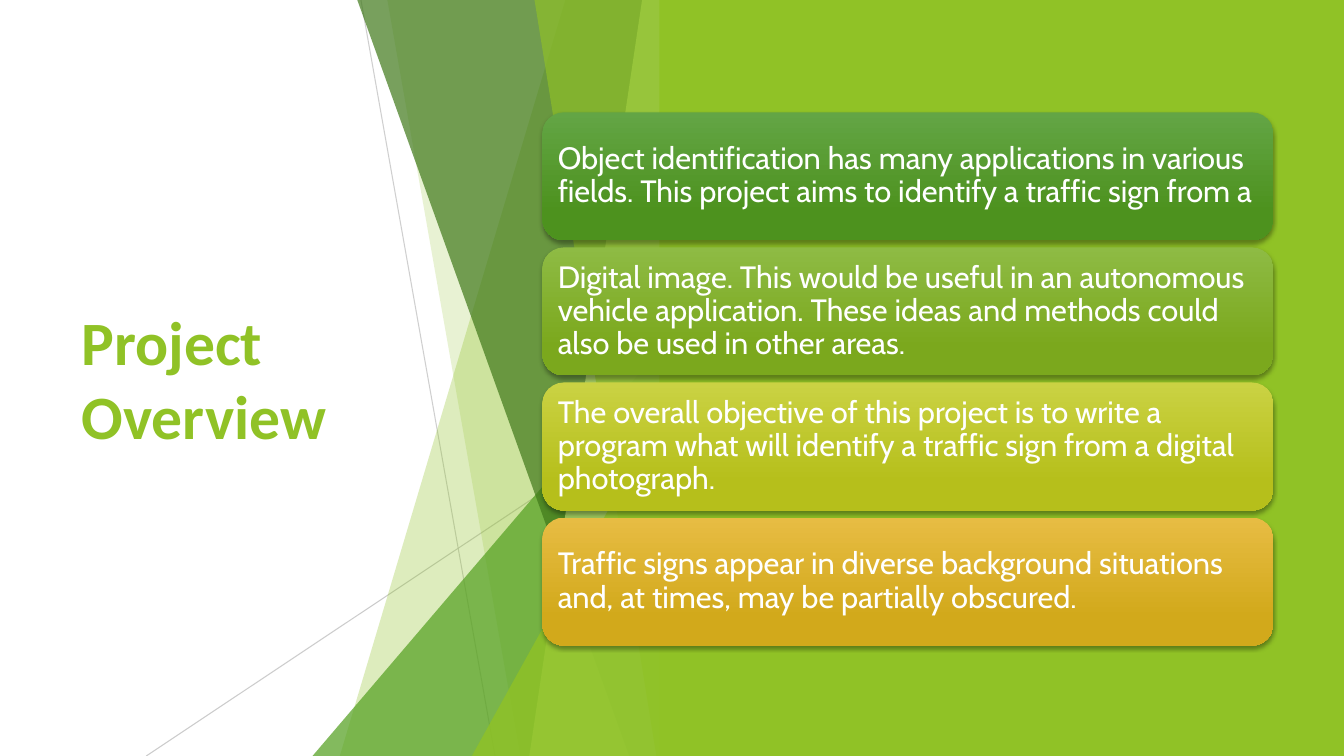
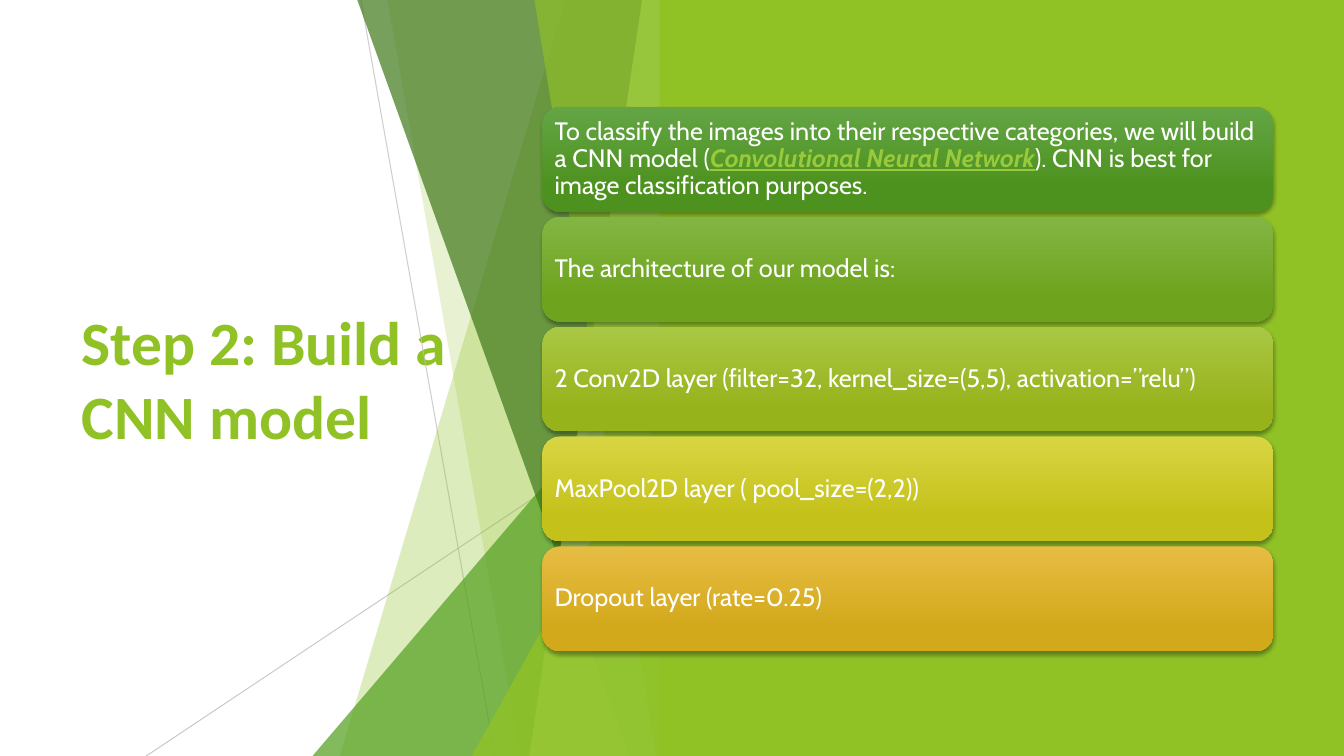
from dataclasses import dataclass

from lxml import etree
from pptx import Presentation
from pptx import util as u
from pptx.dml.color import RGBColor
from pptx.enum import shapes, text
from pptx.oxml import ns


@dataclass(frozen=True)
class Theme:
    white: str = "FFFFFF"
    lime: str = "90C226"
    pale_lime: str = "C0E474"
    green: str = "54A021"
    dark_green: str = "3F7819"
    hairline: str = "BFBFBF"
    link: str = "99CA3C"
    shadow: str = "000000"
    title_font: str = "Calibri"
    body_font: str = "Cabin"
    title_size: int = 44
    line_width: float = 0.75


THEME = Theme()
WIDTH, HEIGHT = 13.33, 7.5
PANEL_LEFT = 6.54
FACET_RIGHT = 6.66
CARD_LEFT, CARD_WIDTH, STACK_CENTER = 5.38, 7.25, 3.76


@dataclass(frozen=True)
class CardStyle:
    height: float
    gap: float
    inset: float
    size: int
    gradients: tuple


OVERVIEW_CARDS = CardStyle(1.27, 0.07, 0.09, 22, (
    ("63A545", "4D921E"), ("8EBB44", "7BA81D"),
    ("CAD243", "B6BF1B"), ("E7BC43", "D2A91B")))
MODEL_CARDS = CardStyle(1.04, 0.05, 0.07, 18, (
    ("63A545", "4D921E"), ("82B644", "6EA31D"), ("AAC744", "97B31C"),
    ("D8D543", "C4C11A"), ("E7BC43", "D2A91B")))

# Each card is a list of (text, is_link) runs.
OVERVIEW = [
    [("Object identification has many applications in various fields. "
      "This project aims to identify a traffic sign from a", False)],
    [("Digital image. This would be useful in an autonomous vehicle application. "
      "These ideas and methods could also be used in other areas.", False)],
    [("The overall objective of this project is to write a program what will "
      "identify a traffic sign from a digital photograph.", False)],
    [("Traffic signs appear in diverse background situations and, at times, "
      "may be partially obscured.", False)],
]
MODEL = [
    [("To classify the images into their respective categories, "
      "we will build a CNN model (", False),
     ("Convolutional Neural Network", True),
     ("). CNN is best for image classification purposes.", False)],
    [("The architecture of our model is:", False)],
    [("2 Conv2D layer (filter=32, kernel_size=(5,5), activation=”relu”)", False)],
    [("MaxPool2D layer ( pool_size=(2,2))", False)],
    [("Dropout layer (rate=0.25)", False)],
]


def rgb(color):
    return RGBColor.from_string(color)


def set_opacity(shape, percent):
    for color in shape.element.spPr.iter(ns.qn("a:srgbClr")):
        etree.SubElement(color, ns.qn("a:alpha"), val=str(percent * 1000))


def fill_plain(shape, color, opacity=100):
    shape.shadow.inherit = False
    shape.fill.solid()
    shape.fill.fore_color.rgb = rgb(color)
    shape.line.fill.background()
    if opacity < 100:
        set_opacity(shape, opacity)


def add_hairline(slide, start, end, opacity):
    ends = [u.Inches(value) for value in (*start, *end)]
    line = slide.shapes.add_connector(shapes.MSO_CONNECTOR.STRAIGHT, *ends)
    line.line.color.rgb = rgb(THEME.hairline)
    line.line.width = u.Pt(THEME.line_width)
    set_opacity(line, opacity)
    etree.SubElement(line.element.spPr, ns.qn("a:effectLst"))


def add_facet(slide, top_left, bottom_left, color, opacity):
    """Draw a full-height facet with a slanted left edge."""
    corners = [(top_left, -0.01), (FACET_RIGHT, -0.01),
               (FACET_RIGHT, HEIGHT), (bottom_left, HEIGHT)]
    points = [(u.Inches(x), u.Inches(y)) for x, y in corners]
    builder = slide.shapes.build_freeform(*points[0], scale=1.0)
    builder.add_line_segments(points[1:], close=True)
    fill_plain(builder.convert_to_shape(), color, opacity)


def add_corner(slide, left, top, color, opacity):
    """Draw a right triangle standing on the bottom edge."""
    triangle = slide.shapes.add_shape(
        shapes.MSO_SHAPE.ISOSCELES_TRIANGLE, u.Inches(left), u.Inches(top),
        u.Inches(FACET_RIGHT - left), u.Inches(HEIGHT - top))
    triangle.adjustments[0] = 1
    fill_plain(triangle, color, opacity)


def add_artwork(slide):
    add_hairline(slide, (3.58, 0), (4.91, HEIGHT), 75)
    add_hairline(slide, (FACET_RIGHT, 4.03), (1.45, HEIGHT), 80)
    add_facet(slide, 5.61, 3.37, THEME.lime, 30)
    add_facet(slide, 3.84, 5.16, THEME.lime, 20)
    add_corner(slide, 3.1, 3.33, THEME.green, 72)
    add_facet(slide, 3.54, 6.24, THEME.dark_green, 70)
    add_facet(slide, 6.37, 5.25, THEME.pale_lime, 70)
    add_facet(slide, 5.3, 6.51, THEME.lime, 65)
    add_corner(slide, 4.68, 3.93, THEME.lime, 80)
    panel = slide.shapes.add_shape(
        shapes.MSO_SHAPE.RECTANGLE, u.Inches(PANEL_LEFT), 0,
        u.Inches(WIDTH - PANEL_LEFT), u.Inches(HEIGHT))
    fill_plain(panel, THEME.lime)


def add_run(paragraph, content, font, size, color):
    run = paragraph.add_run()
    run.text = content
    run.font.name = font
    run.font.size = u.Pt(size)
    run.font.color.rgb = rgb(color)
    return run


def add_title(slide, title):
    box = slide.shapes.add_textbox(
        u.Inches(0.71), u.Inches(1.51), u.Inches(3.88), u.Inches(4.48))
    frame = box.text_frame
    frame.word_wrap = True
    frame.vertical_anchor = text.MSO_ANCHOR.MIDDLE
    run = add_run(frame.paragraphs[0], title, THEME.title_font,
                  THEME.title_size, THEME.lime)
    run.font.bold = True


def add_soft_shadow(shape):
    shape.shadow.inherit = False
    effects = shape.element.spPr.find(ns.qn("a:effectLst"))
    shadow = etree.SubElement(
        effects, ns.qn("a:outerShdw"), blurRad=str(u.Pt(3)), dist=str(u.Pt(2)),
        dir="5400000", algn="ctr", rotWithShape="0")
    color = etree.SubElement(shadow, ns.qn("a:srgbClr"), val=THEME.shadow)
    etree.SubElement(color, ns.qn("a:alpha"), val="35000")


def fill_gradient(shape, colors):
    shape.fill.gradient()
    shape.fill.gradient_angle = 270
    for stop, color, position in zip(shape.fill.gradient_stops, colors, (0, 0.78)):
        stop.color.rgb = rgb(color)
        stop.position = position
    shape.line.fill.background()


def add_card(slide, top, runs, colors, style):
    card = slide.shapes.add_shape(
        shapes.MSO_SHAPE.ROUNDED_RECTANGLE, u.Inches(CARD_LEFT), u.Inches(top),
        u.Inches(CARD_WIDTH), u.Inches(style.height))
    fill_gradient(card, colors)
    add_soft_shadow(card)
    frame = card.text_frame
    frame.word_wrap = True
    frame.vertical_anchor = text.MSO_ANCHOR.MIDDLE
    frame.margin_left = frame.margin_right = u.Inches(style.inset)
    frame.margin_top = frame.margin_bottom = u.Inches(style.inset)
    paragraph = frame.paragraphs[0]
    paragraph.alignment = text.PP_ALIGN.LEFT
    paragraph.line_spacing = 0.9
    for content, is_link in runs:
        color = THEME.link if is_link else THEME.white
        run = add_run(paragraph, content, THEME.body_font, style.size, color)
        if is_link:
            run.font.bold = run.font.italic = run.font.underline = True


def add_card_stack(slide, cards, style):
    """Stack the cards at an equal pitch around the shared centre line."""
    pitch = style.height + style.gap
    first_top = STACK_CENTER - (len(cards) * pitch - style.gap) / 2
    for index, (runs, colors) in enumerate(zip(cards, style.gradients)):
        add_card(slide, first_top + index * pitch, runs, colors, style)


def add_card_slide(presentation, title, cards, style):
    slide = presentation.slides.add_slide(presentation.slide_layouts[6])
    slide.background.fill.solid()
    slide.background.fill.fore_color.rgb = rgb(THEME.white)
    add_title(slide, title)
    add_artwork(slide)
    add_card_stack(slide, cards, style)


def main():
    presentation = Presentation()
    presentation.slide_width = u.Inches(WIDTH)
    presentation.slide_height = u.Inches(HEIGHT)
    add_card_slide(presentation, "Project Overview", OVERVIEW, OVERVIEW_CARDS)
    add_card_slide(presentation, "Step 2: Build a CNN model", MODEL, MODEL_CARDS)
    presentation.save("out.pptx")


if __name__ == "__main__":
    main()
